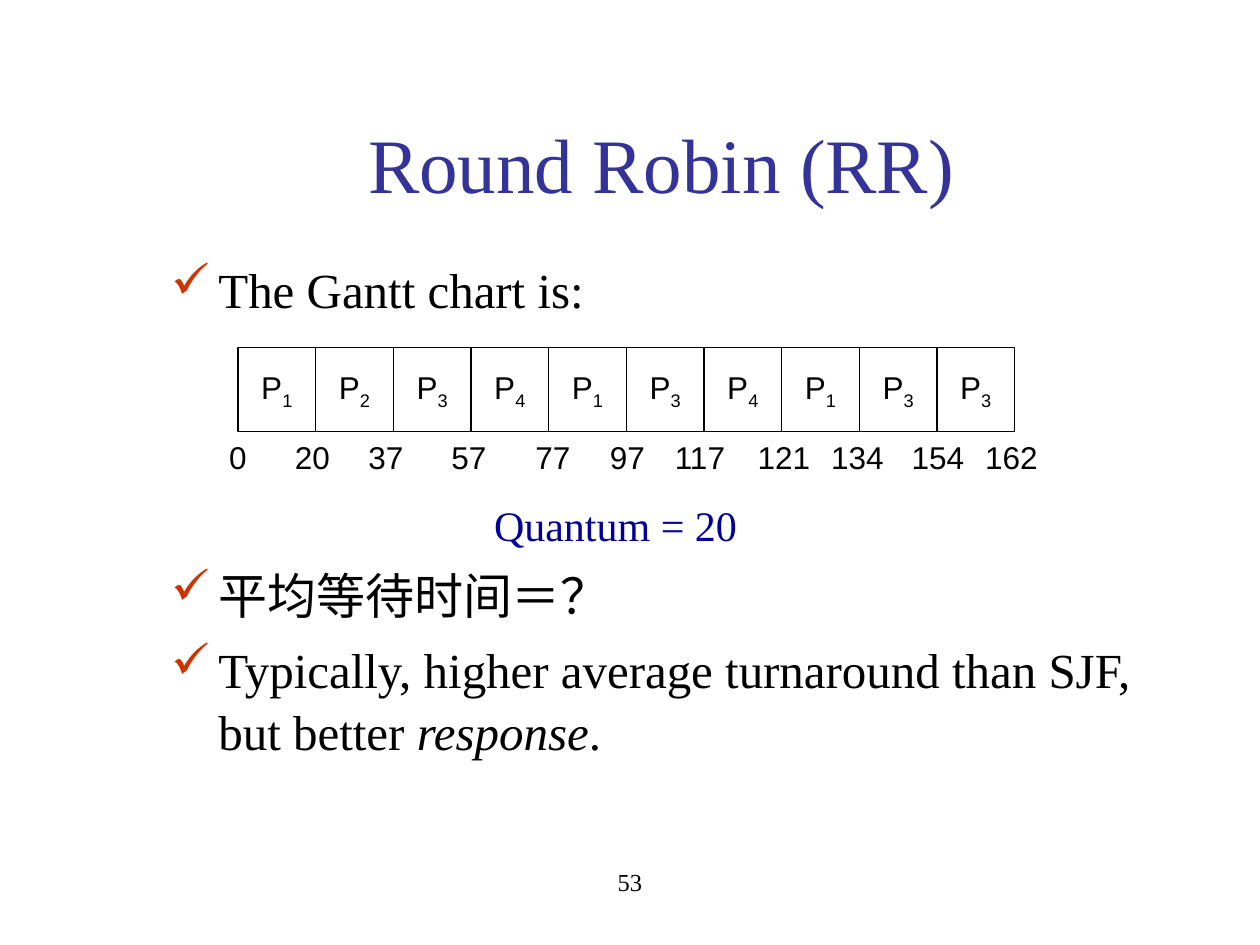
import dataclasses

import pptx
import pptx.dml.color
import pptx.enum.shapes
import pptx.enum.text
import pptx.oxml
import pptx.oxml.ns
import pptx.util

Pt = pptx.util.Pt
ALIGN = pptx.enum.text.PP_ALIGN
ANCHOR = pptx.enum.text.MSO_ANCHOR
SERIF, SANS = "Times New Roman", "Arial"
BLACK, WHITE = "000000", "FFFFFF"


@dataclasses.dataclass
class Item:
    words: list[str]  # every second piece is italic
    size: float = 28
    color: str = BLACK
    left: float = 27
    before: float = 7
    check: bool = True


@dataclasses.dataclass
class Mark:
    time: str
    mid: float


ITEMS = [
    Item(["The Gantt chart is:"], before=0),
    Item(["Quantum = 20"], 24, "000099", 184.5, 102, False),
    Item(["平均等待时间＝？"]),
    Item(["Typically, higher average turnaround than SJF, but better ",
          "response", "."]),
]
JOBS = "1234134133"
MARKS = [
    Mark("0", 136), Mark("20", 178.5), Mark("37", 220.5), Mark("57", 268),
    Mark("77", 316), Mark("97", 358.5), Mark("117", 400), Mark("121", 448),
    Mark("134", 490), Mark("154", 536), Mark("162", 578),
]
LEFT, TOP, CELL, HIGH = 136, 198.7, 44.38, 48


def paint(code: str) -> pptx.dml.color.RGBColor:
    return pptx.dml.color.RGBColor.from_string(code)


def style(para, size: float, face: str = SERIF, color: str = BLACK) -> None:
    para.font.size = Pt(size)
    para.font.name = face
    para.font.color.rgb = paint(color)


def add_box(slide, x: float, y: float, w: float, h: float, wrap: bool = True,
            anchor=ANCHOR.TOP):
    frame = slide.shapes.add_textbox(Pt(x), Pt(y), Pt(w), Pt(h)).text_frame
    frame.word_wrap = wrap
    frame.vertical_anchor = anchor
    return frame


def add_line(slide, text: str, x: float, y: float, w: float, h: float,
             size: float, face: str = SERIF, color: str = BLACK,
             wrap: bool = True, anchor=ANCHOR.TOP) -> None:
    para = add_box(slide, x, y, w, h, wrap, anchor).paragraphs[0]
    para.text = text
    para.alignment = ALIGN.CENTER
    style(para, size, face, color)


def add_item(para, item: Item) -> None:
    props = para._p.get_or_add_pPr()
    props.set("marL", str(Pt(item.left)))
    props.set("indent", str(Pt(-item.left if item.check else 0)))
    para.space_before = Pt(item.before)
    para.line_spacing = 1.05
    if item.check:
        space = pptx.oxml.ns.nsdecls("a")
        for xml in (f'<a:buClr {space}><a:srgbClr val="CC3300"/></a:buClr>',
                    f'<a:buChar {space} char="✓"/>'):
            props.append(pptx.oxml.parse_xml(xml))
    style(para, item.size, SERIF, item.color)
    for i, piece in enumerate(item.words):
        run = para.add_run()
        run.text = piece
        if i % 2:
            run.font.italic = True


def add_cell(slide, x: float, job: str) -> None:
    cell = slide.shapes.add_shape(pptx.enum.shapes.MSO_SHAPE.RECTANGLE,
                                  Pt(x), Pt(TOP), Pt(CELL), Pt(HIGH))
    cell.shadow.inherit = False
    cell.fill.solid()
    cell.fill.fore_color.rgb = paint(WHITE)
    cell.line.color.rgb = paint(BLACK)
    cell.line.width = Pt(0.75)
    frame = cell.text_frame
    frame.word_wrap = False
    frame.vertical_anchor = ANCHOR.MIDDLE
    para = frame.paragraphs[0]
    para.alignment = ALIGN.CENTER
    style(para, 18, SANS)
    para.add_run().text = "P"
    sub = para.add_run()
    sub.text = job
    sub.font._element.set("baseline", "-25000")


def main() -> None:
    deck = pptx.Presentation()
    deck.slide_width, deck.slide_height = Pt(720), Pt(540)
    slide = deck.slides.add_slide(deck.slide_layouts[6])

    # Page number and title
    add_line(slide, "53", 246, 492, 228, 36, 14)
    add_line(slide, "Round Robin (RR)", 72, 48, 612, 90, 44,
             color="333399", anchor=ANCHOR.MIDDLE)

    # Points
    body = add_box(slide, 90.7, 143.3, 575.3, 337)
    for i, item in enumerate(ITEMS):
        add_item(body.add_paragraph() if i else body.paragraphs[0], item)

    # Gantt chart
    for i, job in enumerate(JOBS):
        add_cell(slide, LEFT + i * CELL, job)
    for mark in MARKS:
        wide = 14.4 + 10 * len(mark.time)
        add_line(slide, mark.time, mark.mid - wide / 2, TOP + HIGH, wide, 29,
                 18, SANS, wrap=False, anchor=ANCHOR.MIDDLE)

    deck.save("out.pptx")


if __name__ == "__main__":
    main()
